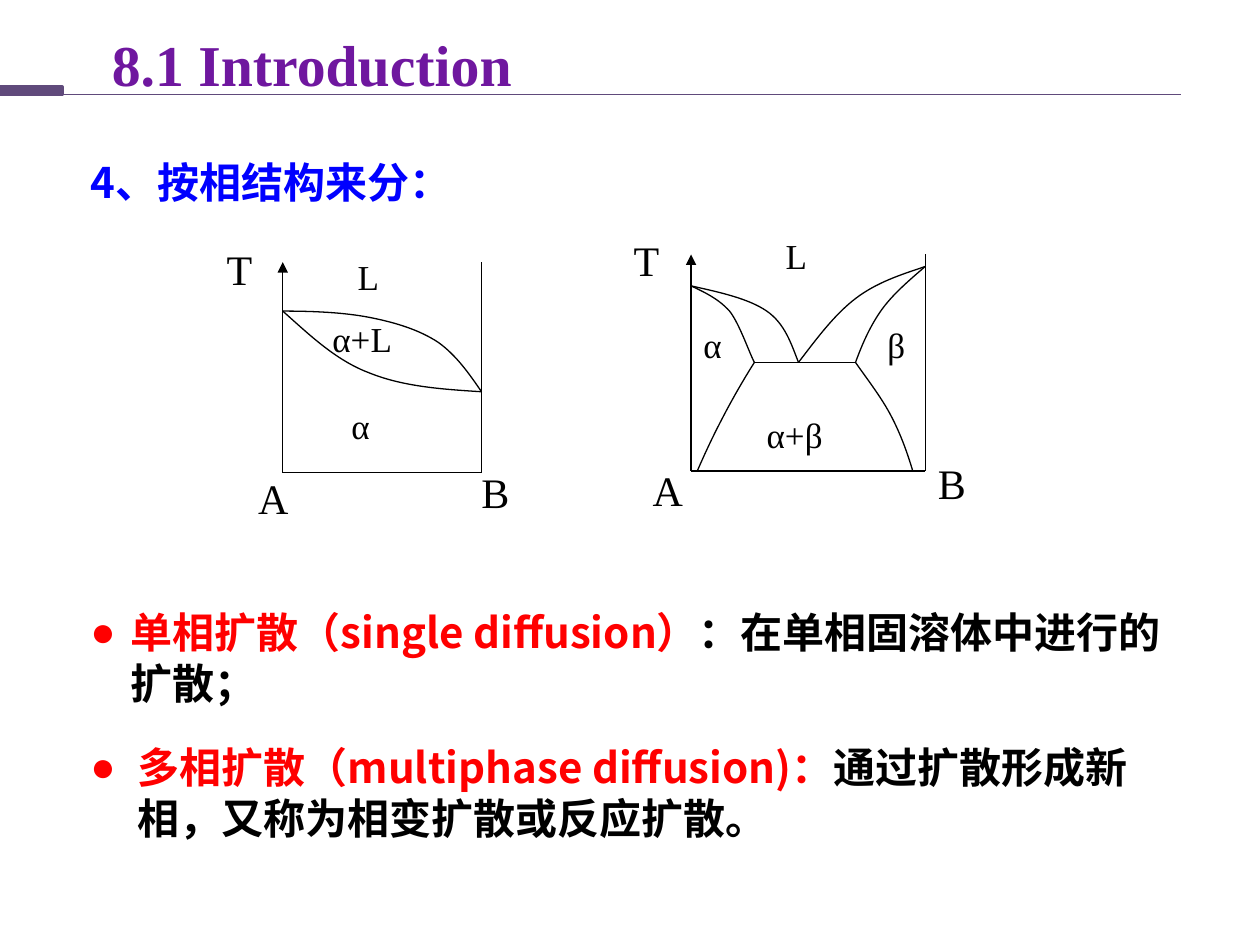
from dataclasses import dataclass
from typing import NamedTuple

from lxml import etree
from pptx import Presentation
from pptx.dml.color import RGBColor
from pptx.enum.shapes import MSO_CONNECTOR, MSO_SHAPE
from pptx.enum.text import PP_ALIGN
from pptx.oxml.ns import qn
from pptx.util import Pt

STRAIGHT = MSO_CONNECTOR.STRAIGHT
RECTANGLE = MSO_SHAPE.RECTANGLE
LEFT, CENTER = PP_ALIGN.LEFT, PP_ALIGN.CENTER


@dataclass(frozen=True)
class Theme:
    title: RGBColor = RGBColor(0x6F, 0x17, 0x9F)
    rule: RGBColor = RGBColor(0x60, 0x4A, 0x7B)
    heading: RGBColor = RGBColor(0x00, 0x00, 0xFF)
    term: RGBColor = RGBColor(0xFF, 0x00, 0x00)
    ink: RGBColor = RGBColor(0x00, 0x00, 0x00)
    serif: str = "Times New Roman"
    sans: str = "Noto Sans CJK SC"
    title_size: float = 33
    body_size: float = 24
    phase_size: float = 20
    body_line: float = 29


THEME = Theme()


class Point(NamedTuple):
    x: float
    y: float


class Box(NamedTuple):
    left: float
    top: float
    width: float
    height: float


class TextPart(NamedTuple):
    text: str
    color: RGBColor


class Label(NamedTuple):
    text: str
    left: float
    top: float
    size: float = THEME.phase_size
    width: float = 39


@dataclass(frozen=True)
class PhaseDiagram:
    left: float
    right: float
    top: float
    bottom: float
    labels: list[Label]
    curves: list[list[Point]]
    tie_lines: list[list[Point]]


def points(*pairs: tuple[float, float]) -> list[Point]:
    return [Point(*pair) for pair in pairs]


SOLID_SOLUTION = PhaseDiagram(
    161.6, 275.2, 149.8, 270,
    [Label("A", 140.4, 266.4, THEME.body_size), Label("B", 268, 262.8, THEME.body_size),
     Label("T", 122.4, 135.4, THEME.body_size), Label("L", 197.3, 142.6),
     Label("α", 193.7, 227.5), Label("α+L", 182.9, 177.8, width=60.5)],
    [points((161.6, 177.8), (177, 191.5), (192, 206), (211, 213.1),
            (230.4, 221), (252.7, 222.5), (275.2, 223.9)),
     points((161.6, 177.8), (179.3, 177.8), (196.6, 178.6), (211, 181.4),
            (226, 184.3), (239.8, 188.6), (250.6, 195.8),
            (260.6, 203), (267.8, 213.1), (275.2, 223.9))],
    [])

EUTECTIC = PhaseDiagram(
    394.9, 528.7, 145.4, 269.1,
    [Label("A", 365.8, 262.1, THEME.body_size), Label("B", 528.8, 257.8, THEME.body_size),
     Label("T", 355, 130.3, THEME.body_size), Label("L", 441.8, 130.3),
     Label("α", 394.9, 181.4), Label("β", 500, 181.4),
     Label("α+β", 431, 232.6, width=61.2)],
    [points((394.9, 163.4), (402.5, 167), (410.4, 170.6), (416.9, 177.8),
            (422.6, 185), (428.4, 202.3), (431.1, 207.1)),
     points((431.1, 207.1), (424.1, 218.2), (417.6, 229.7), (412.2, 240.2),
            (406.8, 250.6), (402.5, 259.9), (398.5, 269.1)),
     points((528.7, 152.3), (519.1, 160.6), (509.8, 168.5), (503.3, 177.8),
            (496.8, 187.2), (492.5, 197.3), (488.9, 207.1)),
     points((488.9, 207.1), (496.1, 217.4), (504, 227.5), (509.4, 238),
            (514.8, 248.4), (518.4, 258.5), (521.6, 269.1)),
     points((394.9, 163.4), (411.1, 167), (427.7, 170.6), (438.2, 177.8),
            (448.6, 185), (452.2, 196.6), (456.3, 207.1)),
     points((528.7, 152.3), (514.8, 157), (501.1, 161.3), (488.9, 170.6),
            (476.6, 180), (466.6, 193.7), (456.3, 207.1))],
    [points((431.1, 207.1), (488.9, 207.1))])


def add_text(shapes, box: Box, parts: list[TextPart], size: float, font: str,
             bold: bool = False, hanging: float = 0, align=LEFT, wrap: bool = True) -> None:
    """Add a one-paragraph text box; a hanging indent gives it a bullet."""
    frame = shapes.add_textbox(*map(Pt, box)).text_frame
    frame.word_wrap = wrap
    paragraph = frame.paragraphs[0]
    paragraph.alignment = align
    if hanging:
        properties = paragraph._p.get_or_add_pPr()
        properties.set("marL", str(Pt(hanging)))
        properties.set("indent", str(-Pt(hanging)))
        etree.SubElement(properties, qn("a:buFont")).set("typeface", THEME.serif)
        etree.SubElement(properties, qn("a:buChar")).set("char", "●")
    if font == THEME.sans:
        paragraph.line_spacing = Pt(THEME.body_line)
    text_format = {"name": font, "size": Pt(size), "bold": bold}
    for part in parts:
        run = paragraph.add_run()
        run.text = part.text
        for name, value in text_format.items():
            setattr(run.font, name, value)
        run.font.color.rgb = part.color
        east_asian = etree.SubElement(run._r.get_or_add_rPr(), qn("a:ea"))
        east_asian.set("typeface", font)


def add_line(shapes, start: Point, end: Point, color: RGBColor = THEME.ink,
             width: float = 0.75, arrow: bool = False) -> None:
    connector = shapes.add_connector(STRAIGHT, *map(Pt, (*start, *end)))
    connector.line.color.rgb = color
    connector.line.width = Pt(width)
    if arrow:
        line = connector.line._get_or_add_ln()
        etree.SubElement(line, qn("a:tailEnd")).set("type", "triangle")
    etree.SubElement(connector._element.spPr, qn("a:effectLst"))


def add_curve(shapes, controls: list[Point]) -> None:
    """Draw joined cubic Bezier segments that share their end points."""
    builder = shapes.build_freeform(*map(Pt, controls[0]))
    builder.add_line_segments([(Pt(x), Pt(y)) for x, y in controls[1:]], close=False)
    shape = builder.convert_to_shape()
    segments = list(shape._element.iter(qn("a:lnTo")))
    for first in range(0, len(segments), 3):
        cubic, *others = segments[first:first + 3]
        cubic.tag = qn("a:cubicBezTo")
        for other in others:
            cubic.append(other[0])
            other.getparent().remove(other)
    shape.shadow.inherit = False
    shape.fill.background()
    shape.line.color.rgb = THEME.ink
    shape.line.width = Pt(0.75)


def add_diagram(slide, diagram: PhaseDiagram) -> None:
    shapes = slide.shapes.add_group_shape().shapes
    origin = Point(diagram.left, diagram.bottom)
    corner = Point(diagram.right, diagram.bottom)
    add_line(shapes, origin, Point(diagram.left, diagram.top), arrow=True)
    add_line(shapes, corner, Point(diagram.right, diagram.top))
    add_line(shapes, origin, corner)
    for label in diagram.labels:
        box = Box(label.left, label.top, label.width, label.size * 1.5)
        add_text(shapes, box, [TextPart(label.text, THEME.ink)], label.size, THEME.serif)
    for curve in diagram.curves:
        add_curve(shapes, curve)
    for tie_line in diagram.tie_lines:
        add_line(shapes, *tie_line)


def add_header(slide) -> None:
    add_text(slide.shapes, Box(55.4, 13, 245.5, 47.5),
             [TextPart("8.1 Introduction", THEME.title)],
             THEME.title_size, THEME.serif, bold=True, align=CENTER, wrap=False)
    shapes = slide.shapes.add_group_shape().shapes
    add_line(shapes, Point(0, 54), Point(674.6, 54), THEME.rule, 0.5)
    tab = shapes.add_shape(RECTANGLE, *map(Pt, Box(0, 49.7, 35.6, 4.3)))
    tab.shadow.inherit = False
    tab.fill.solid()
    tab.fill.fore_color.rgb = THEME.rule
    tab.line.color.rgb = THEME.rule
    tab.line.width = Pt(2)


def add_body(slide, box: Box, parts: list[TextPart], hanging: float = 0) -> None:
    add_text(slide.shapes, box, parts, THEME.body_size, THEME.sans, bold=True, hanging=hanging)


def main() -> None:
    presentation = Presentation()
    presentation.slide_width, presentation.slide_height = Pt(720), Pt(540)
    slide = presentation.slides.add_slide(presentation.slide_layouts[6])
    add_header(slide)
    add_body(slide, Box(44.6, 343, 645, 65.5),
             [TextPart("单相扩散（single diffusion）", THEME.term),
              TextPart("：在单相固溶体中进行的扩散；", THEME.ink)], hanging=23)
    add_body(slide, Box(44.6, 85.7, 486, 36), [TextPart("4、按相结构来分：", THEME.heading)])
    add_diagram(slide, SOLID_SOLUTION)
    add_diagram(slide, EUTECTIC)
    add_body(slide, Box(44.6, 420.2, 617.8, 65.5),
             [TextPart("多相扩散（multiphase diffusion)：", THEME.term),
              TextPart("通过扩散形成新相，又称为相变扩散或反应扩散。", THEME.ink)], hanging=27)
    presentation.save("out.pptx")


if __name__ == "__main__":
    main()
